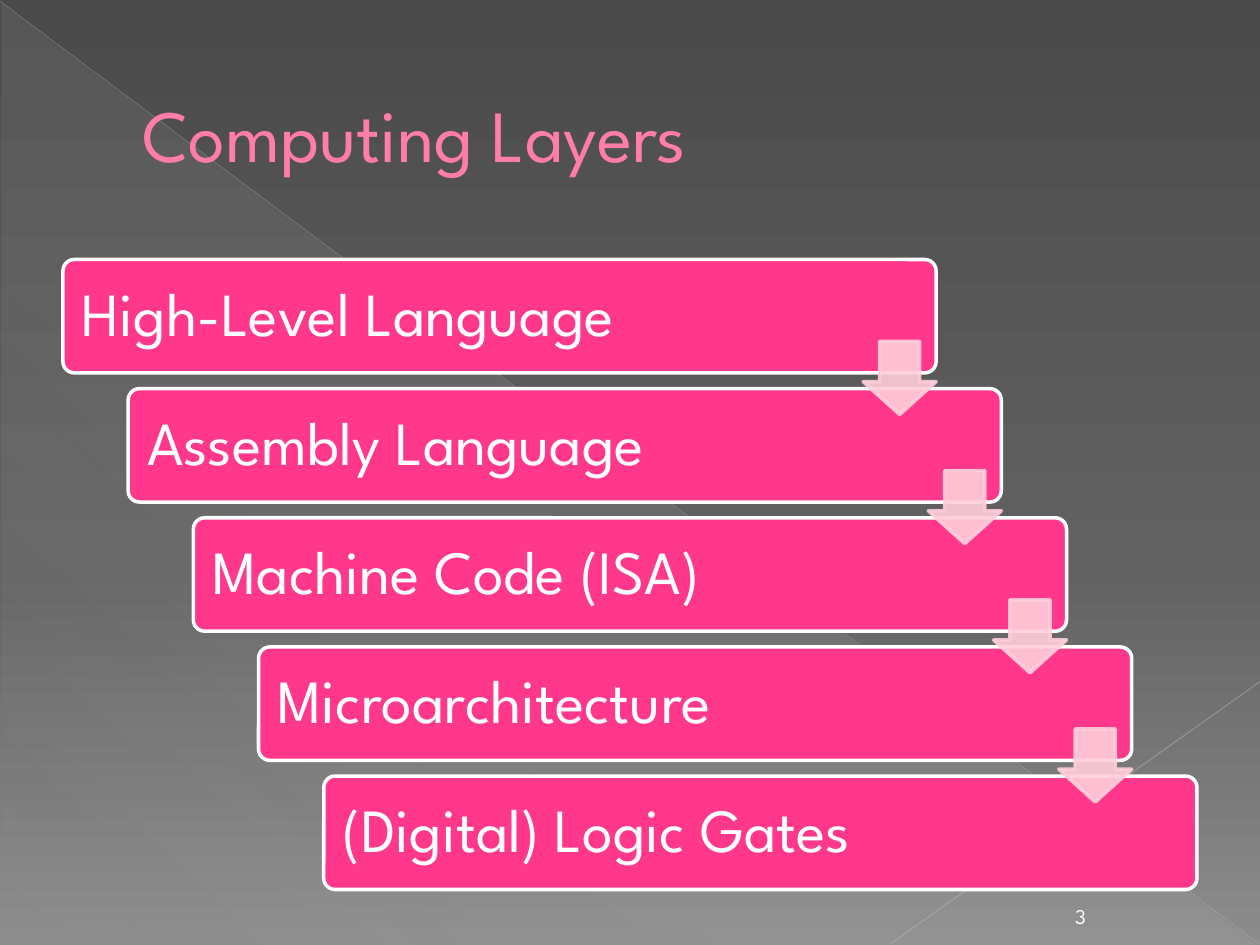
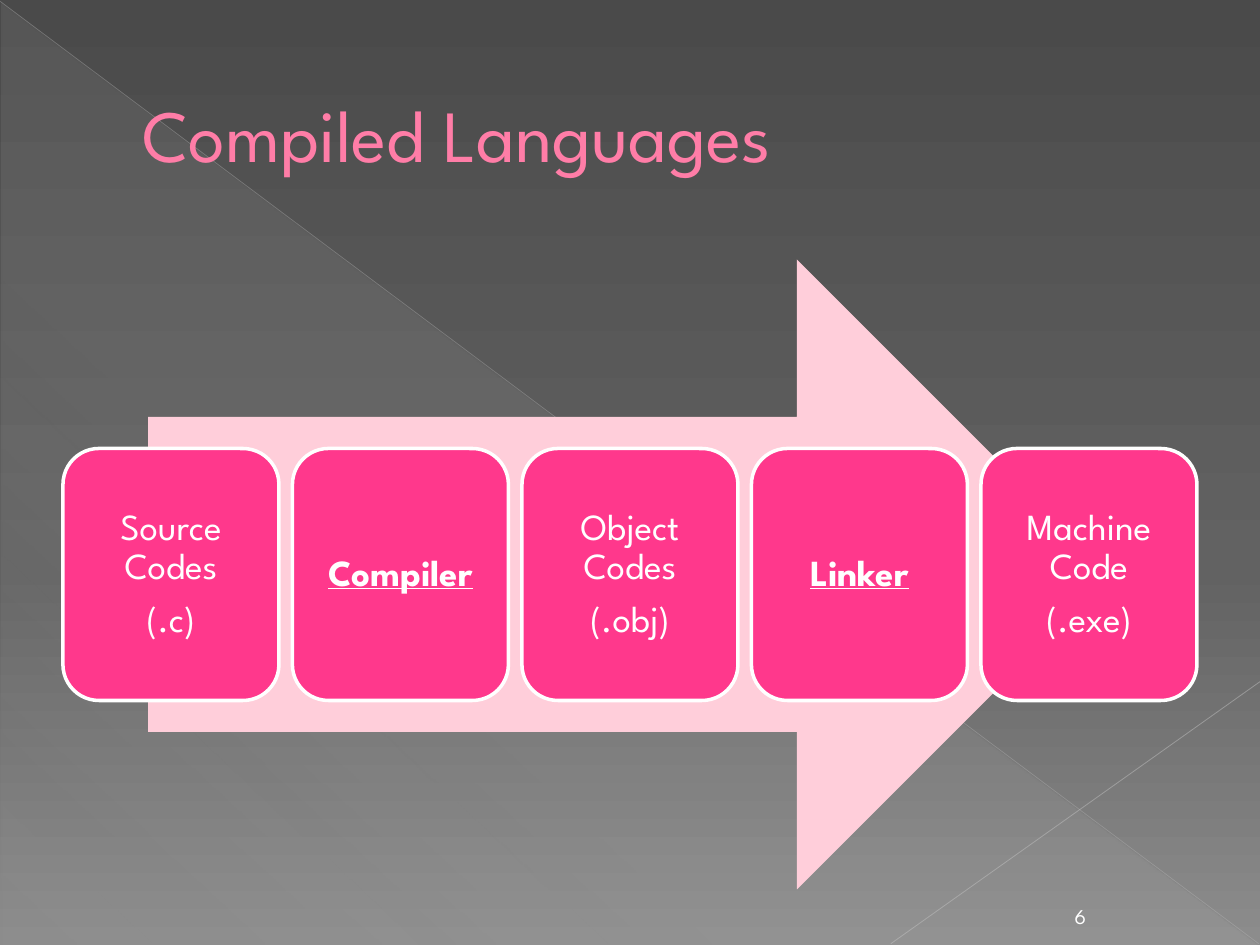
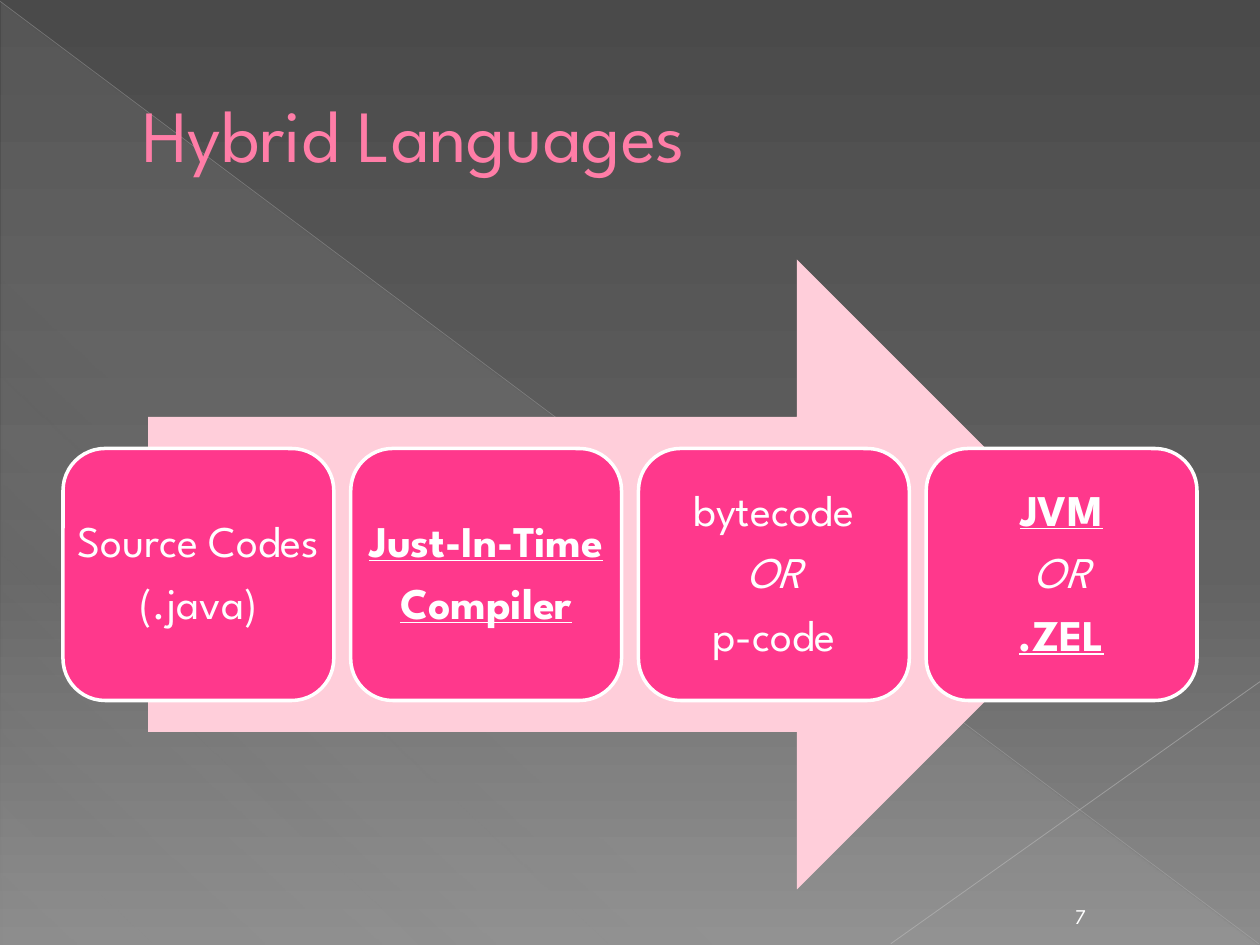
"""Build three slides on computing layers and on compiled and hybrid languages."""
import lxml.etree
import pptx
import pptx.dml.color
import pptx.enum.shapes
import pptx.enum.text
import pptx.oxml.ns
import pptx.util

RGBColor = pptx.dml.color.RGBColor
Inches = pptx.util.Inches
Pt = pptx.util.Pt
Shape = pptx.enum.shapes.MSO_SHAPE
Anchor = pptx.enum.text.MSO_ANCHOR
Align = pptx.enum.text.PP_ALIGN
qn = pptx.oxml.ns.qn

FONT = "League Spartan"
WHITE = RGBColor(0xFF, 0xFF, 0xFF)
PINK = RGBColor(0xFF, 0x38, 0x8C)
PALE_PINK = RGBColor(0xFF, 0xCE, 0xDA)
TITLE_PINK = RGBColor(0xFF, 0x7D, 0xA7)
TITLE_EDGE = RGBColor(0xB1, 0x27, 0x61)
GLOW = RGBColor(0xD2, 0xD2, 0xD2)
LONG_RAY = RGBColor(0xBF, 0xBF, 0xBF)
SHORT_RAY = RGBColor(0xC6, 0xC6, 0xC6)

BACKGROUND_STOPS = [
    (0, RGBColor(0x4A, 0x4A, 0x4A), 100),
    (60, RGBColor(0x62, 0x62, 0x62), 100),
    (100, RGBColor(0x8C, 0x8C, 0x8C), 100),
]
GLOW_STOPS = [(0, GLOW, 10), (70, GLOW, 8), (100, GLOW, 1)]
RAYS = [
    ((0, 0.01), (9.99, 7.49), LONG_RAY, 0.39, 35),
    ((10, 5.41), (7.07, 7.49), SHORT_RAY, 0.47, 45),
]

WIDTH, HEIGHT = 10, 7.5
LEFT, TOP, SPAN, DEPTH = 0.5, 2.06, 9, 5

PLAIN, STRONG, ITALIC = "plain", "strong", "italic"
LAYERS = [
    "High-Level Language",
    "Assembly Language",
    "Machine Code (ISA)",
    "Microarchitecture",
    "(Digital) Logic Gates",
]
COMPILED_STEPS = [
    [("Source Codes", PLAIN), ("(.c)", PLAIN)],
    [("Compiler", STRONG)],
    [("Object Codes", PLAIN), ("(.obj)", PLAIN)],
    [("Linker", STRONG)],
    [("Machine Code", PLAIN), ("(.exe)", PLAIN)],
]
HYBRID_STEPS = [
    [("Source Codes", PLAIN), ("(.java)", PLAIN)],
    [("Just-In-Time", STRONG), ("Compiler", STRONG)],
    [("bytecode", PLAIN), ("OR", ITALIC), ("p-code", PLAIN)],
    [("JVM", STRONG), ("OR", ITALIC), (".ZEL", STRONG)],
]


def set_alpha(element, percent):
    """Make every RGB colour inside the element partly transparent."""
    for color in element.iter(qn("a:srgbClr")):
        lxml.etree.SubElement(color, qn("a:alpha"), val=str(percent * 1000))


def set_gradient(fill, owner, stops, angle):
    """Give the fill a linear gradient of (position, colour, opacity) stops."""
    fill.gradient()
    gradient = next(owner.iter(qn("a:gradFill")))
    gradient.find(qn("a:lin")).set("ang", str(angle * 60000))
    stop_list = gradient.find(qn("a:gsLst"))
    for old_stop in list(stop_list):
        stop_list.remove(old_stop)
    for position, color, opacity in stops:
        stop = lxml.etree.SubElement(stop_list, qn("a:gs"), pos=str(position * 1000))
        lxml.etree.SubElement(stop, qn("a:srgbClr"), val=str(color))
        if opacity < 100:
            set_alpha(stop, opacity)


def add_shape(page, kind, left, top, width, height, fill=None, line=None):
    """Add a flat preset shape."""
    shape = page.shapes.add_shape(
        kind, Inches(left), Inches(top), Inches(width), Inches(height))
    shape.shadow.inherit = False
    if fill is not None:
        shape.fill.solid()
        shape.fill.fore_color.rgb = fill
    if line is None:
        shape.line.fill.background()
    else:
        shape.line.color.rgb = line
        shape.line.width = Pt(2)
    return shape


def add_span(para, text, size, color=WHITE, style=PLAIN):
    """Add one formatted run."""
    span = para.add_run()
    span.text = text
    font = span.font
    font.name, font.size, font.color.rgb = FONT, Pt(size), color
    font.bold = font.underline = style == STRONG
    font.italic = style == ITALIC


def set_margins(frame, margin):
    """Set all four text margins."""
    frame.margin_left = frame.margin_right = Inches(margin)
    frame.margin_top = frame.margin_bottom = Inches(margin)


def add_card(page, place, lines, size, margin, corner, align):
    """Add a pink rounded card with lines of text."""
    card = add_shape(page, Shape.ROUNDED_RECTANGLE, *place, PINK, WHITE)
    card.adjustments[0] = corner
    frame = card.text_frame
    frame.word_wrap = True
    frame.vertical_anchor = Anchor.MIDDLE
    corner_inset = 0.29 * corner * min(place[2:])
    set_margins(frame, max(0, margin - corner_inset))
    for index, (text, style) in enumerate(lines):
        para = frame.add_paragraph() if index else frame.paragraphs[0]
        para.alignment = align
        para.line_spacing = 0.9
        para.space_after = Pt(round(size * 0.35, 1))
        add_span(para, text, size, style=style)


def decorate_layout(layout, page):
    """Put the shared background, glow and rays on the layout."""
    set_gradient(layout.background.fill, layout.element, BACKGROUND_STOPS, 90)
    glow = add_shape(page, Shape.RIGHT_TRIANGLE, 0.01, 0.02, 9.98, 7.48)
    set_gradient(glow.fill, glow.element, GLOW_STOPS, 133)
    parts = [glow]
    for start, end, color, weight, opacity in RAYS:
        ray = page.shapes.add_connector(
            pptx.enum.shapes.MSO_CONNECTOR.STRAIGHT,
            *(Inches(value) for value in start + end))
        ray.line.color.rgb = color
        ray.line.width = Pt(weight)
        set_alpha(ray.element, opacity)
        lxml.etree.SubElement(ray.element.spPr, qn("a:effectLst"))
        parts.append(ray)
    for number, part in enumerate(parts, start=101):
        next(part.element.iter(qn("p:cNvPr"))).set("id", str(number))
        layout.element.cSld.spTree.append(part.element)


def add_title(page, text):
    """Fill and place the title."""
    title = page.shapes.title
    title.left, title.top = Inches(LEFT), Inches(0.29)
    title.width, title.height = Inches(SPAN), Inches(1.53)
    frame = title.text_frame
    frame.auto_size = pptx.enum.text.MSO_AUTO_SIZE.NONE
    frame.word_wrap = True
    frame.vertical_anchor = Anchor.MIDDLE
    frame.margin_left = Inches(0.63)
    para = frame.paragraphs[0]
    para.alignment = Align.LEFT
    add_span(para, text, 42, TITLE_PINK)
    edge = lxml.etree.Element(qn("a:ln"), w=str(Pt(0.5)))
    edge_fill = lxml.etree.SubElement(edge, qn("a:solidFill"))
    lxml.etree.SubElement(edge_fill, qn("a:srgbClr"), val=str(TITLE_EDGE))
    next(title.element.iter(qn("a:rPr"))).insert(0, edge)


def add_page_number(page, number):
    """Add the page number at the foot."""
    box = page.shapes.add_textbox(
        Inches(8.3), Inches(7.09), Inches(0.55), Inches(0.33))
    frame = box.text_frame
    frame.word_wrap = True
    frame.vertical_anchor = Anchor.BOTTOM
    para = frame.paragraphs[0]
    para.alignment = Align.CENTER
    add_span(para, str(number), 12)


def draw_layers(page, layers):
    """Draw a staircase of cards joined by down arrows."""
    width, height, arrow_size = 6.93, 0.9, 0.58
    step_x = (SPAN - width) / (len(layers) - 1)
    step_y = (DEPTH - height) / (len(layers) - 1)
    corners = [(LEFT + index * step_x, TOP + index * step_y)
               for index in range(len(layers))]
    for (left, top), name in zip(corners, layers):
        add_card(page, (left, top, width, height), [(name, PLAIN)],
                 35, 0.15, 0.1, Align.LEFT)
    for left, top in corners[:-1]:
        arrow = add_shape(page, Shape.DOWN_ARROW, left + width - arrow_size, top + 0.65,
                          arrow_size, arrow_size, PALE_PINK, PALE_PINK)
        arrow.adjustments[0], arrow.adjustments[1] = 0.55, 0.45
        set_alpha(arrow.element, 90)


def draw_process(page, steps, size, margin):
    """Draw a row of cards across a wide arrow."""
    arrow_width = SPAN * 0.85
    add_shape(page, Shape.RIGHT_ARROW, (WIDTH - arrow_width) / 2, TOP,
              arrow_width, DEPTH, PALE_PINK)
    gap_share = 1 / 16
    width = SPAN / (len(steps) + (len(steps) - 1) * gap_share)
    height = DEPTH * 0.4
    top = TOP + (DEPTH - height) / 2
    for index, lines in enumerate(steps):
        left = LEFT + index * width * (1 + gap_share)
        add_card(page, (left, top, width, height), lines,
                 size, margin, 0.1667, Align.CENTER)


def main():
    """Build and save the deck."""
    deck = pptx.Presentation()
    deck.slide_width, deck.slide_height = Inches(WIDTH), Inches(HEIGHT)
    layout = deck.slide_layouts[5]
    slides = [
        ("Computing Layers", 3, draw_layers, (LAYERS,)),
        ("Compiled Languages", 6, draw_process, (COMPILED_STEPS, 21, 0.09)),
        ("Hybrid Languages", 7, draw_process, (HYBRID_STEPS, 25, 0.1)),
    ]
    for index, (title, number, draw, content) in enumerate(slides):
        page = deck.slides.add_slide(layout)
        if index == 0:
            decorate_layout(layout, page)
        add_title(page, title)
        draw(page, *content)
        add_page_number(page, number)
    deck.save("out.pptx")


if __name__ == "__main__":
    main()
